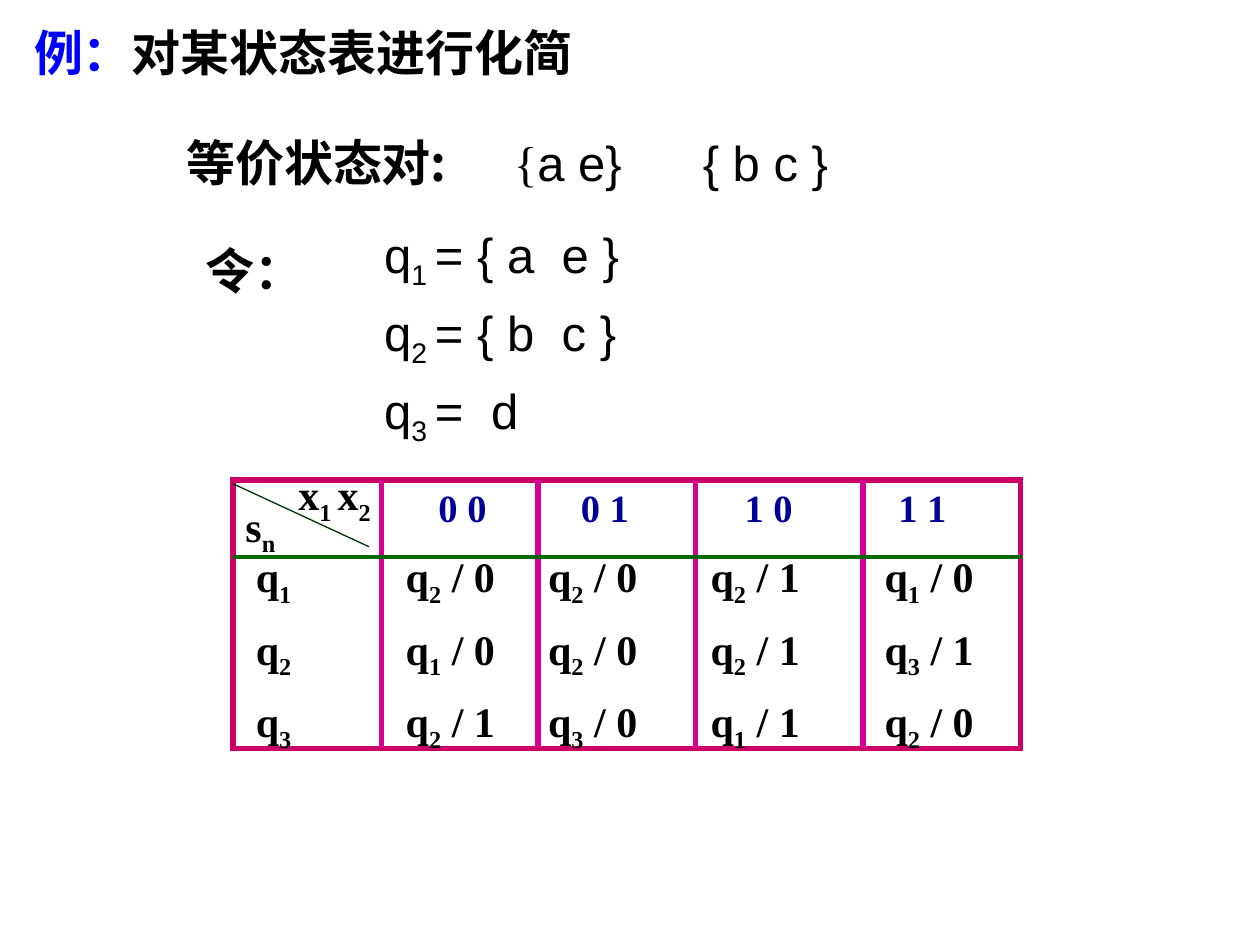
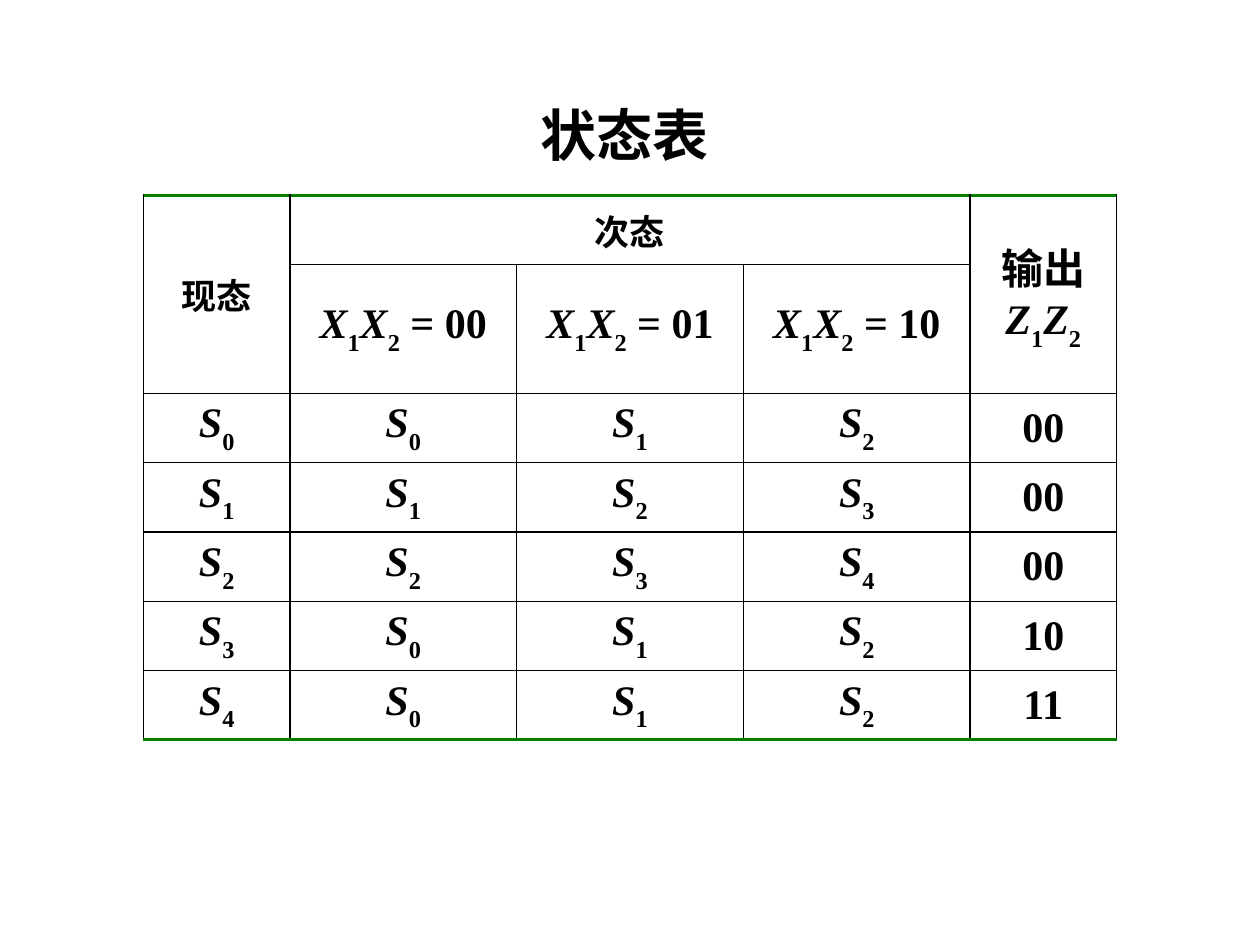
"""Build two slides on reducing a state table and the resulting state table."""
import pptx
import pptx.dml.color
import pptx.enum.shapes
import pptx.enum.text
import pptx.oxml.ns
import pptx.util
from lxml import etree

Inches = pptx.util.Inches
Pt = pptx.util.Pt
ALIGN = pptx.enum.text.PP_ALIGN
ANCHOR = pptx.enum.text.MSO_ANCHOR
qn = pptx.oxml.ns.qn
BLACK, WHITE, GREEN = "000000", "FFFFFF", "008000"
SANS, SERIF, CJK = "Arial", "Times New Roman", "Noto Sans CJK SC"


def color(hex_value):
    """Turn a hex string into a colour."""
    return pptx.dml.color.RGBColor.from_string(hex_value)


def write(paragraph, text, size, face, bold=True, ink=BLACK, sub=0,
          italic=False, align=ALIGN.LEFT, tabs=()):
    """Fill a paragraph; every second part between bars is a subscript."""
    paragraph.alignment = align
    if tabs:
        stops = etree.SubElement(paragraph._p.get_or_add_pPr(), qn("a:tabLst"))
        for position in tabs:
            etree.SubElement(stops, qn("a:tab"), pos=str(Inches(position)), algn="l")
    font = paragraph.font
    font.size, font.name, font.bold = Pt(size), face, bold
    font.color.rgb = color(ink)
    parts = text.split("|")
    for index, part in enumerate(parts):
        run = paragraph.add_run()
        run.text = part
        if sub and index % 2:
            run._r.get_or_add_rPr().set("baseline", str(sub * 1000))
        elif italic and len(parts) > 1 and part.isalpha():
            run.font.italic = True


prs = pptx.Presentation()
prs.slide_width, prs.slide_height = Inches(10), Inches(7.5)
reduction, result = [prs.slides.add_slide(prs.slide_layouts[5]) for _ in range(2)]

for slide, text, size, align, box in [
    (reduction, "例：|对某状态表进行化简", 28, ALIGN.LEFT, (0, 0.13, 10, 0.57)),
    (result, "状态表", 32, ALIGN.CENTER, (2.87, 0.75, 4.17, 0.63)),
]:
    title = slide.shapes.title
    title.left, title.top, title.width, title.height = map(Inches, box)
    title.text_frame.vertical_anchor = ANCHOR.TOP
    write(title.text_frame.paragraphs[0], text, size, SANS, align=align)
heading = reduction.shapes.title.text_frame
heading.margin_left = Inches(0.27)
heading.paragraphs[0].runs[0].font.color.rgb = color("0000FF")
heading.paragraphs[0].runs[1].font.name = CJK

state_grid = reduction.shapes.add_shape(
    pptx.enum.shapes.MSO_SHAPE.RECTANGLE,
    Inches(1.85), Inches(3.81), Inches(6.25), Inches(2.13))
state_grid.shadow.inherit = False
state_grid.fill.solid()
state_grid.fill.fore_color.rgb = color(WHITE)
state_grid.line.color.rgb = color("CC0066")
state_grid.line.width = Pt(3)
etree.SubElement(state_grid.line._get_or_add_ln(), qn("a:miter"), lim="800000")
grid_text = state_grid.text_frame
grid_text.vertical_anchor = ANCHOR.TOP
grid_text.margin_left = Inches(0.18)
grid_text.margin_top = Inches(0.09)
grid_text.margin_bottom = 0
write(grid_text.paragraphs[0], "\t0 0\t0 1\t1 0\t1 1", 22, SERIF, ink="000099",
      tabs=(1.45, 2.58, 3.88, 5.1))
grid_text.paragraphs[0].line_spacing = 0.85
for text in [
    "q|1|\tq|2| / 0\tq|2| / 0\tq|2| / 1\tq|1| / 0",
    "q|2|\tq|1| / 0\tq|2| / 0\tq|2| / 1\tq|3| / 1",
    "q|3|\tq|2| / 1\tq|3| / 0\tq|1| / 1\tq|2| / 0",
]:
    paragraph = grid_text.add_paragraph()
    paragraph.line_spacing = 0.9
    paragraph.space_before = Pt(12)
    write(paragraph, text, 24, SERIF, sub=-25, tabs=(1.19, 2.32, 3.61, 4.99))

column_rules = [((x, 3.81), (x, 5.93), "D60093", 3) for x in (3.03, 4.27, 5.52, 6.85)]
for start, end, ink, width in column_rules + [
    ((1.85, 3.84), (2.93, 4.34), "003300", 0.75),
    ((1.85, 4.42), (8.11, 4.42), "006600", 2.25),
]:
    rule = reduction.shapes.add_connector(
        pptx.enum.shapes.MSO_CONNECTOR.STRAIGHT, *map(Inches, start + end))
    rule.line.color.rgb = color(ink)
    rule.line.width = Pt(width)
    etree.SubElement(rule._element.spPr, qn("a:effectLst"))

for box, lines, size, face, bold, tabs in [
    ((2.95, 1.78, 3.42, 1.69), ["q|1 |= { a\te }", "q|2 |= { b\tc }", "q|3 |=\td"],
     28, SANS, False, (0.85, 1.41)),
    ((1.53, 1.86, 1, 0.57), ["令："], 28, SANS, True, ()),
    ((1.85, 3.92, 1.03, 0.5), ["s|n"], 24, SERIF, True, ()),
    ((2.27, 3.67, 1.08, 0.5), ["x|1 |x|2"], 24, SERIF, True, ()),
]:
    label = reduction.shapes.add_textbox(*map(Inches, box)).text_frame
    label.word_wrap = True
    for index, text in enumerate(lines):
        paragraph = label.add_paragraph() if index else label.paragraphs[0]
        if len(lines) > 1:
            paragraph.line_spacing = 0.8
        if index:
            paragraph.space_before = Pt(14)
        write(paragraph, text, size, face, bold, sub=-25, tabs=tabs)

pairs = reduction.shapes.add_textbox(*map(Inches, (1.38, 1, 6.77, 0.57))).text_frame
pairs.word_wrap = True
write(pairs.paragraphs[0], "等价状态对:\t|{|a e}\t{ b c }", 28, CJK, tabs=(2.6, 4.1))
for run, face in zip(pairs.paragraphs[0].runs[1:], (SERIF, SANS)):
    run.font.name, run.font.bold = face, False

rows = [
    ["现态", "次态", "", "", "输出\nZ|1|Z|2"],
    ["", "X|1|X|2| = 00", "X|1|X|2| = 01", "X|1|X|2| = 10", ""],
]
for state, (following, output) in enumerate(
        [("012", "00"), ("123", "00"), ("234", "00"), ("012", "10"), ("012", "11")]):
    rows.append([f"S|{number}" for number in (state, *following)] + [output])

state_table = result.shapes.add_table(
    len(rows), 5, Inches(1.14), Inches(1.55), Inches(7.72), Inches(3.85)).table
state_table.first_row = state_table.horz_banding = False
for column, width in zip(state_table.columns, (1.16, 1.8, 1.8, 1.8, 1.16)):
    column.width = Inches(width)
for r, row in enumerate(rows):
    state_table.rows[r].height = Inches(0.55)
    for c, text in enumerate(row):
        cell = state_table.cell(r, c)
        cell.vertical_anchor = ANCHOR.MIDDLE
        for side in "LRTB":
            outer = (side, r) in (("T", 0), ("B", len(rows) - 1))
            edge = etree.SubElement(cell._tc.get_or_add_tcPr(), qn(f"a:ln{side}"),
                                    w=str(Pt(2 if outer else 1)))
            ink = etree.SubElement(edge, qn("a:solidFill"))
            etree.SubElement(ink, qn("a:srgbClr"), val=GREEN if outer else BLACK)
        cell.fill.solid()
        cell.fill.fore_color.rgb = color(WHITE)
        if not text:
            continue
        for index, line in enumerate(text.split("\n")):
            frame = cell.text_frame
            paragraph = frame.add_paragraph() if index else frame.paragraphs[0]
            write(paragraph, line, 20 if line in ("现态", "次态") else 24, SERIF,
                  sub=-30, italic=True, align=ALIGN.CENTER)
for first, last in [((0, 0), (1, 0)), ((0, 1), (0, 3)), ((0, 4), (1, 4))]:
    state_table.cell(*first).merge(state_table.cell(*last))

prs.save("out.pptx")
